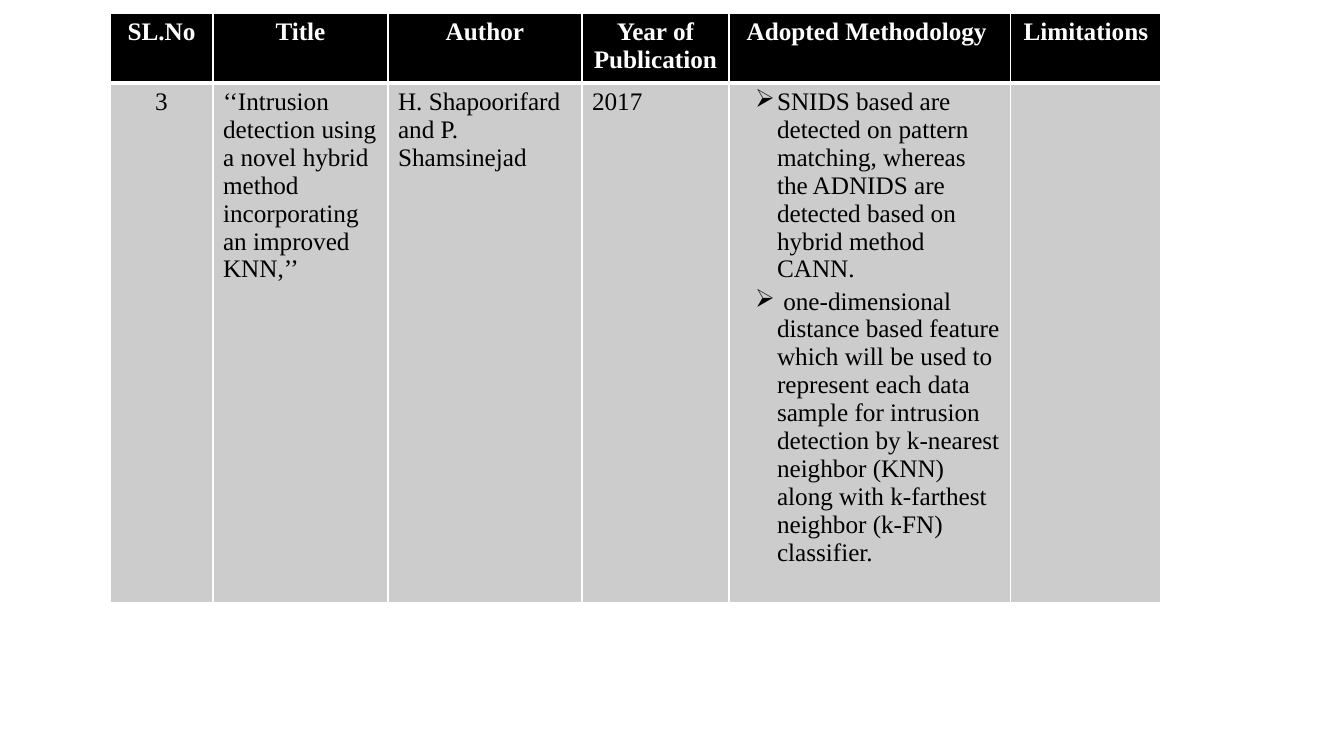
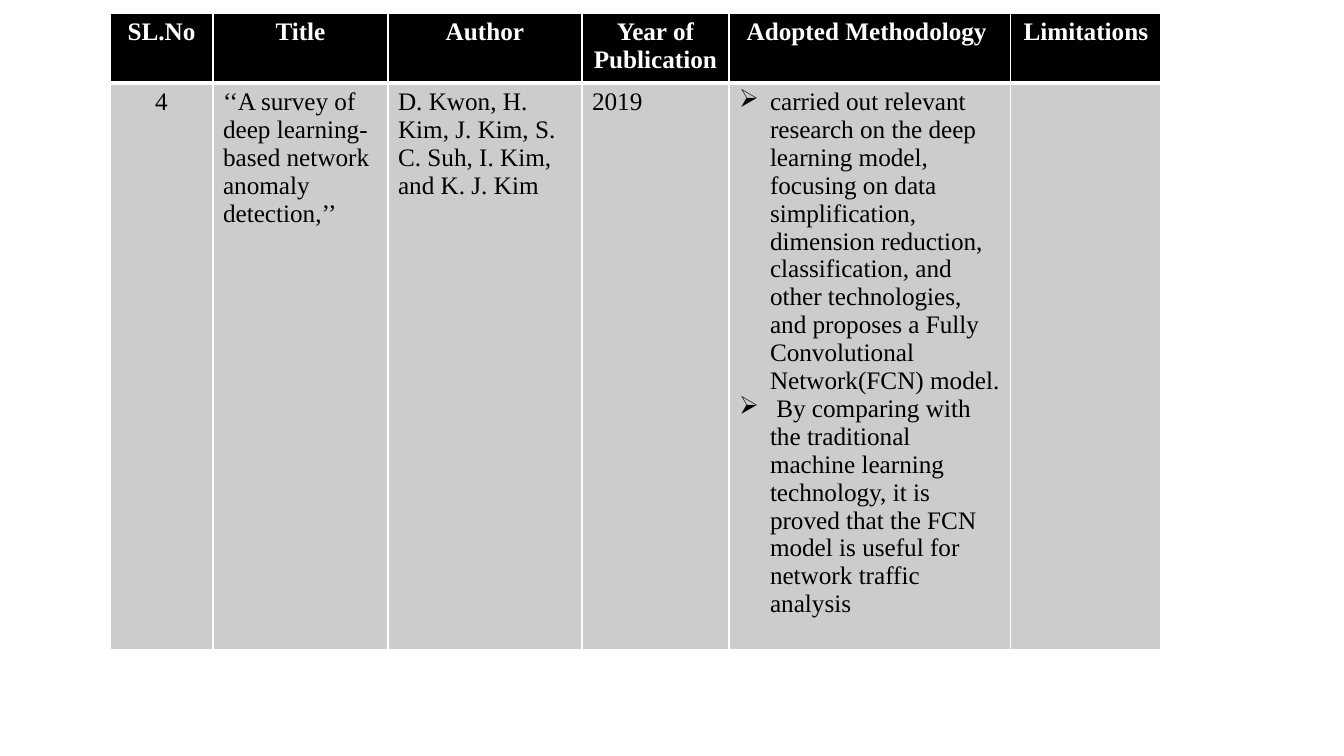
import lxml.etree
import pptx
import pptx.dml.color
import pptx.enum.text
import pptx.oxml.ns
import pptx.util

PX = 914400 / 100.8
SLIDE_W, SLIDE_H = 1344, 756
BLACK, WHITE, GREY = "000000", "FFFFFF", "CCCCCC"
BOX = (110, 13, 1051)
COLUMNS = (103, 175, 194, 147, 282, 150)
HEADER_H = 70
HEADINGS = ("SL.No", "Title", "Author", "Year of Publication",
            "Adopted Methodology ", "Limitations")
CENTER = pptx.enum.text.PP_ALIGN.CENTER
LEFT = pptx.enum.text.PP_ALIGN.LEFT
FONT = {"name": "Times New Roman", "size": pptx.util.Pt(18)}

PAPERS = [
    {"height": 520, "bullet": {"left": 38, "hang": 22, "after": 3},
     "cells": [
         "3",
         "‘‘Intrusion detection using a novel hybrid method incorporating "
         "an improved KNN,’’ ",
         "H. Shapoorifard and P. Shamsinejad",
         "2017",
         ["SNIDS based are detected on pattern matching, whereas the ADNIDS "
          "are detected based on hybrid method CANN. ",
          " one-dimensional distance based feature which will be used to "
          "represent each data sample for intrusion detection by k-nearest "
          "neighbor (KNN) along with k-farthest neighbor (k-FN) classifier."],
         ""]},
    {"height": 567, "bullet": {"left": 31, "hang": 31, "after": 0},
     "cells": [
         "4",
         "‘‘A survey of deep learning-based network anomaly detection,’’",
         "D. Kwon, H. Kim, J. Kim, S. C. Suh, I. Kim, and K. J. Kim",
         "2019",
         ["carried out relevant research on the deep learning model, focusing "
          "on data simplification, dimension reduction, classification, and "
          "other technologies, and proposes a Fully Convolutional "
          "Network(FCN) model.",
          " By comparing with the traditional machine learning technology, it "
          "is proved that the FCN model is useful for network traffic "
          "analysis"],
         ""]},
]


def px(n):
    """Turn pixels into EMU."""
    return pptx.util.Emu(round(n * PX))


def rgb(value):
    """Turn a hex string into a colour."""
    return pptx.dml.color.RGBColor.from_string(value)


def add_xml(parent, tag, **attributes):
    """Append a DrawingML element with the given attributes."""
    return lxml.etree.SubElement(parent, pptx.oxml.ns.qn(tag), attributes)


def set_borders(cell, top=1, bottom=1):
    """Draw white borders round a cell, widths in points."""
    tcPr = cell._tc.get_or_add_tcPr()
    for side, width in {"L": 1, "R": 1, "T": top, "B": bottom}.items():
        ln = add_xml(tcPr, f"a:ln{side}", w=str(pptx.util.Pt(width)))
        add_xml(add_xml(ln, "a:solidFill"), "a:srgbClr", val=WHITE)


def set_bullet(p, left, hang, after):
    """Give a paragraph a hanging arrow bullet."""
    p.space_after = pptx.util.Pt(after)
    pPr = p._p.get_or_add_pPr()
    pPr.set("marL", str(px(left)))
    pPr.set("indent", str(-px(hang)))
    add_xml(pPr, "a:buChar", char="➢")


def fill_cell(cell, content, fill, color, bold, align, bullet):
    """Fill a cell with one text, or with a list of bulleted texts."""
    cell.fill.solid()
    cell.fill.fore_color.rgb = rgb(fill)
    tf = cell.text_frame
    bulleted = isinstance(content, list)
    for i, text in enumerate(content if bulleted else [content]):
        p = tf.add_paragraph() if i else tf.paragraphs[0]
        p.alignment = align
        if bulleted:
            set_bullet(p, **bullet)
        if text:
            r = p.add_run()
            r.text = text
            for name, value in {**FONT, "bold": bold}.items():
                setattr(r.font, name, value)
            r.font.color.rgb = rgb(color)


def add_paper_table(s, box, paper):
    """Place the survey table of one paper in the box (left, top, width)."""
    left, top, width = box
    heights = (HEADER_H, paper["height"])
    table = s.shapes.add_table(2, len(COLUMNS), px(left), px(top), px(width),
                               px(sum(heights))).table
    for row, height in zip(table.rows, heights):
        row.height = px(height)
    for i, share in enumerate(COLUMNS):
        table.columns[i].width = px(width * share / sum(COLUMNS))
        head, body = table.cell(0, i), table.cell(1, i)
        set_borders(head, bottom=3)
        set_borders(body, top=3)
        fill_cell(head, HEADINGS[i], BLACK, WHITE, True, CENTER, None)
        fill_cell(body, paper["cells"][i], GREY, BLACK, False,
                  LEFT if i else CENTER, paper["bullet"])


def main():
    """Build one slide for each paper."""
    prs = pptx.Presentation()
    prs.slide_width, prs.slide_height = px(SLIDE_W), px(SLIDE_H)
    for paper in PAPERS:
        s = prs.slides.add_slide(prs.slide_layouts[6])
        add_paper_table(s, BOX, paper)
    prs.save("out.pptx")


main()
